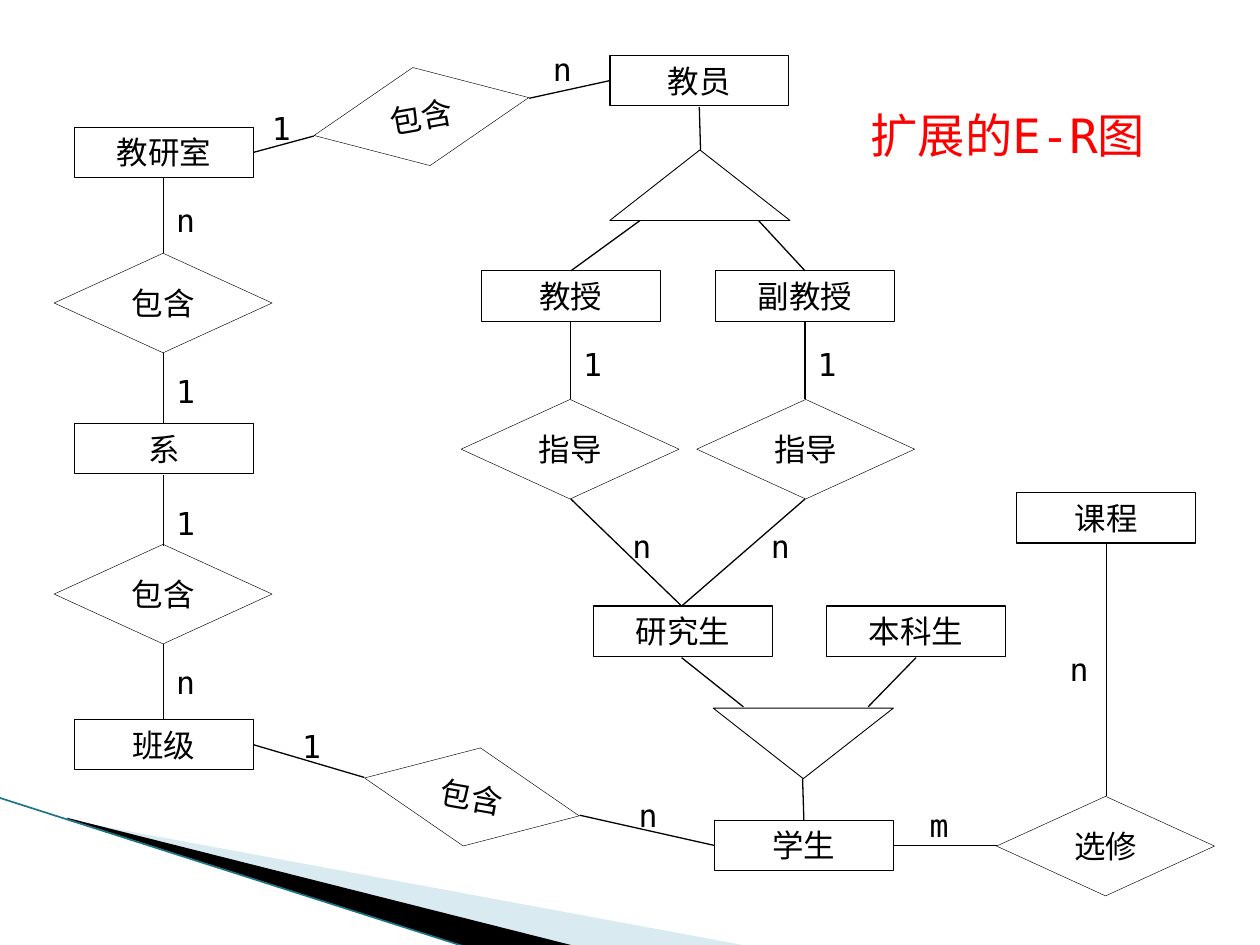
from dataclasses import dataclass

from lxml.etree import SubElement
from pptx import Presentation
from pptx.dml.color import RGBColor
from pptx.enum.shapes import MSO_CONNECTOR, MSO_SHAPE
from pptx.enum.text import MSO_ANCHOR, PP_ALIGN
from pptx.oxml.ns import qn
from pptx.util import Inches, Pt


@dataclass(frozen=True)
class Theme:
    font: str = "DejaVu Sans Mono"
    background: str = "FFFFFF"
    ink: str = "000000"
    title: str = "FF0000"
    pale_wedge: str = "A0CBDC"
    edge: str = "1B7587"
    title_size: float = 27
    text_size: float = 18
    line: float = 0.75
    triangle_line: float = 0.5
    diamond_line: float = 0.25
    edge_line: float = 0.95


def write_text(frame, text, *, font, size, color, align=PP_ALIGN.LEFT, anchor=MSO_ANCHOR.TOP):
    frame.word_wrap = True
    frame.vertical_anchor = anchor
    paragraph = frame.paragraphs[0]
    paragraph.alignment = align
    run = paragraph.add_run()
    run.text = text
    run.font.name = font
    run.font.size = Pt(size)
    run.font.color.rgb = RGBColor.from_string(color)


class Diagram:
    def __init__(self, slide, theme):
        self.slide = slide
        self.theme = theme
        fill = slide.background.fill
        fill.solid()
        fill.fore_color.rgb = RGBColor.from_string(theme.background)

    def title(self, text, left, top, width, height):
        title = self.slide.shapes.title
        title.left, title.top = Inches(left), Inches(top)
        title.width, title.height = Inches(width), Inches(height)
        write_text(title.text_frame, text, font=self.theme.font,
                   size=self.theme.title_size, color=self.theme.title)

    def wedge(self, points, color, opacity=100):
        corners = [(Inches(x), Inches(y)) for x, y in points]
        builder = self.slide.shapes.build_freeform(*corners[0])
        builder.add_line_segments(corners[1:], close=True)
        shape = builder.convert_to_shape()
        shape.shadow.inherit = False
        shape.fill.solid()
        shape.fill.fore_color.rgb = RGBColor.from_string(color)
        shape.line.fill.background()
        if opacity < 100:
            fill_color = shape.fill._xPr.find(qn("a:solidFill"))[0]
            SubElement(fill_color, qn("a:alpha"), val=str(opacity * 1000))

    def outline(self, kind, left, top, width, height, weight, text="", rotation=0):
        shape = self.slide.shapes.add_shape(
            kind, Inches(left), Inches(top), Inches(width), Inches(height))
        shape.shadow.inherit = False
        shape.rotation = rotation
        shape.fill.background()
        shape.line.color.rgb = RGBColor.from_string(self.theme.ink)
        shape.line.width = Pt(weight)
        if text:
            write_text(shape.text_frame, text, font=self.theme.font,
                       size=self.theme.text_size, color=self.theme.ink,
                       align=PP_ALIGN.CENTER, anchor=MSO_ANCHOR.MIDDLE)

    def entity(self, text, left, top):
        self.outline(MSO_SHAPE.RECTANGLE, left, top, 1.42, 0.4, self.theme.line, text)

    def relationship(self, text, left, top, rotation=0):
        self.outline(MSO_SHAPE.DIAMOND, left, top, 1.73, 0.79,
                     self.theme.diamond_line, text, rotation)

    def hierarchy(self, left, top, rotation=0):
        self.outline(MSO_SHAPE.ISOSCELES_TRIANGLE, left, top, 1.43, 0.56,
                     self.theme.triangle_line, rotation=rotation)

    def link(self, x1, y1, x2, y2, color=None, weight=None):
        connector = self.slide.shapes.add_connector(
            MSO_CONNECTOR.STRAIGHT, Inches(x1), Inches(y1), Inches(x2), Inches(y2))
        connector.line.color.rgb = RGBColor.from_string(color or self.theme.ink)
        connector.line.width = Pt(weight or self.theme.line)
        SubElement(connector._element.spPr, qn("a:effectLst"))

    def cardinality(self, text, left, top):
        box = self.slide.shapes.add_textbox(
            Inches(left), Inches(top), Inches(0.39), Inches(0.4))
        write_text(box.text_frame, text, font=self.theme.font,
                   size=self.theme.text_size, color=self.theme.ink)


ENTITIES = [
    ("教员", 4.84, 0.44), ("学生", 5.67, 6.51), ("课程", 8.07, 3.91),
    ("教授", 3.82, 2.15), ("副教授", 5.68, 2.15),
    ("研究生", 4.71, 4.81), ("本科生", 6.56, 4.81),
    ("教研室", 0.59, 1.01), ("系", 0.59, 3.36), ("班级", 0.59, 5.71),
]
RELATIONSHIPS = [
    ("选修", 7.91, 6.32), ("指导", 3.66, 3.17), ("指导", 5.53, 3.17),
    ("包含", 0.43, 2.01), ("包含", 0.43, 4.32),
    ("包含", 2.88, 5.93, 10), ("包含", 2.48, 0.53, 350),
]
HIERARCHIES = [(4.84, 1.19), (5.66, 5.62, 180)]
LINKS = [
    (5.55, 0.85, 5.56, 1.19), (5.08, 1.75, 4.53, 2.15), (6.02, 1.75, 6.39, 2.15),
    (4.53, 2.55, 4.53, 3.17), (6.39, 2.55, 6.39, 3.17),
    (4.53, 3.96, 5.41, 4.81), (6.39, 3.96, 5.41, 4.81),
    (5.9, 5.61, 5.41, 5.22), (6.89, 5.61, 7.27, 5.22), (6.37, 6.18, 6.38, 6.51),
    (8.78, 6.32, 8.78, 4.31), (7.09, 6.71, 7.91, 6.71),
    (1.3, 2.01, 1.3, 1.41), (1.3, 3.36, 1.3, 2.8),
    (1.3, 3.77, 1.3, 4.33), (1.3, 5.11, 1.3, 5.71),
    (2.01, 5.91, 2.89, 6.17), (4.6, 6.47, 5.67, 6.71),
    (2.01, 1.21, 2.49, 1.08), (4.2, 0.78, 4.84, 0.64),
]
CARDINALITIES = [
    ("n", 8.39, 5.11), ("m", 7.28, 6.35),
    ("n", 1.3, 1.55), ("1", 1.3, 2.9), ("1", 1.3, 3.95), ("n", 1.3, 5.21),
    ("1", 2.3, 5.72), ("n", 4.97, 6.27), ("1", 2.06, 0.82), ("n", 4.29, 0.35),
    ("1", 4.53, 2.69), ("1", 6.39, 2.69), ("n", 4.92, 4.13), ("n", 6.02, 4.13),
]


def main():
    presentation = Presentation()
    presentation.slide_width = Inches(10)
    presentation.slide_height = Inches(7.5)
    slide = presentation.slides.add_slide(presentation.slide_layouts[5])
    theme = Theme()
    diagram = Diagram(slide, theme)

    diagram.wedge([(0.55, 6.51), (5.95, 7.51), (4.56, 7.51), (0.55, 6.5)],
                  theme.pale_wedge, opacity=40)
    diagram.wedge([(0.53, 6.49), (4.57, 7.51), (3.72, 7.52), (0.54, 6.5)], theme.ink)
    diagram.link(-0.01, 6.33, 3.71, 7.52, theme.edge, theme.edge_line)

    diagram.title("扩展的E-R图", 6.81, 0.79, 2.38, 0.56)
    for draw, items in (
        (diagram.entity, ENTITIES),
        (diagram.relationship, RELATIONSHIPS),
        (diagram.hierarchy, HIERARCHIES),
        (diagram.link, LINKS),
        (diagram.cardinality, CARDINALITIES),
    ):
        for item in items:
            draw(*item)

    presentation.save("out.pptx")


if __name__ == "__main__":
    main()
